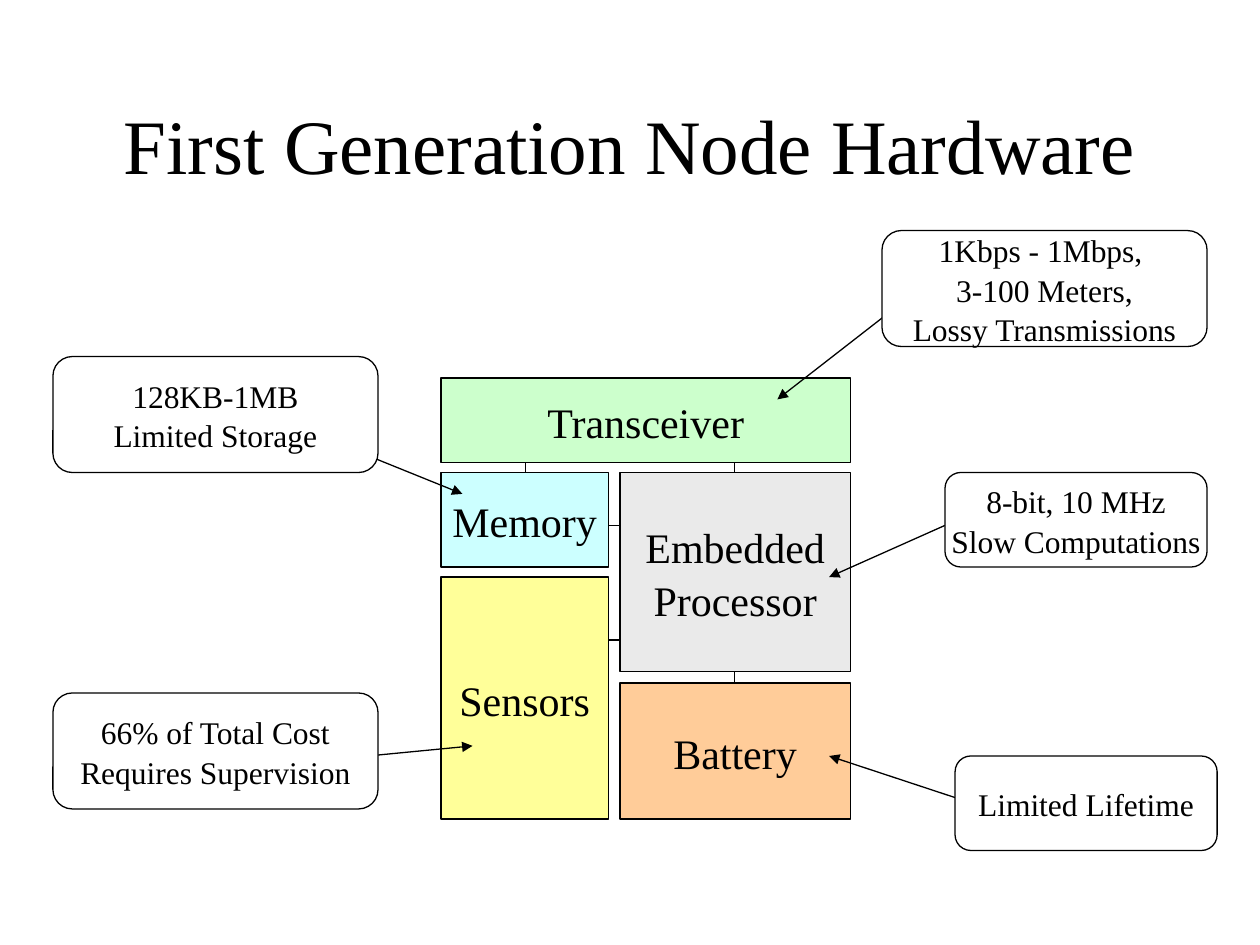
from pptx import Presentation
from pptx.dml.color import RGBColor
from pptx.enum.shapes import MSO_CONNECTOR, MSO_SHAPE
from pptx.enum.text import MSO_ANCHOR, MSO_AUTO_SIZE, PP_ALIGN
from pptx.oxml.ns import qn
from pptx.util import Inches, Pt
from lxml import etree

BLACK = RGBColor(0x00, 0x00, 0x00)
WHITE = RGBColor(0xFF, 0xFF, 0xFF)
GRAY = RGBColor(0xEA, 0xEA, 0xEA)
GREEN = RGBColor(0xCC, 0xFF, 0xCC)
CYAN = RGBColor(0xCC, 0xFF, 0xFF)
YELLOW = RGBColor(0xFF, 0xFF, 0x99)
ORANGE = RGBColor(0xFF, 0xCC, 0x99)
RECT, ROUNDED = MSO_SHAPE.RECTANGLE, MSO_SHAPE.ROUNDED_RECTANGLE
STRAIGHT = MSO_CONNECTOR.STRAIGHT
MIDDLE, CENTER, NO_FIT = MSO_ANCHOR.MIDDLE, PP_ALIGN.CENTER, MSO_AUTO_SIZE.NONE
FONT = "Times New Roman"
LINE_WIDTH = Pt(0.75)

prs = Presentation()
prs.slide_width, prs.slide_height = Inches(10), Inches(7.5)
slide = prs.slides.add_slide(prs.slide_layouts[5])
shapes = slide.shapes


def write_centered(shape, text, size, wrap):
    frame = shape.text_frame
    frame.text = text
    frame_format = {"word_wrap": wrap, "auto_size": NO_FIT, "vertical_anchor": MIDDLE}
    for attribute, value in frame_format.items():
        setattr(frame, attribute, value)
    for paragraph in frame.paragraphs:
        paragraph.alignment = CENTER
        paragraph.line_spacing = 1.05
        paragraph.font.color.rgb = BLACK
        for attribute, value in {"name": FONT, "size": Pt(size)}.items():
            setattr(paragraph.font, attribute, value)


def add_line(start, end, arrow):
    line = shapes.add_connector(STRAIGHT, *map(Inches, start + end))
    line.line.color.rgb = BLACK
    line.line.width = LINE_WIDTH
    if arrow:
        etree.SubElement(line.line._get_or_add_ln(), qn("a:tailEnd"), type="triangle")
    etree.SubElement(line._element.spPr, qn("a:effectLst"))


# Title
title = shapes.title
title.left, title.top, title.width, title.height = map(Inches, (0, 0.5, 10, 1.25))
write_centered(title, "First Generation Node Hardware", 44, True)

# Hardware blocks, then the callouts that describe them
blocks = [
    ("Embedded\nProcessor", (4.92, 3.75, 1.83, 1.58), GRAY),
    ("Transceiver", (3.5, 3, 3.25, 0.67), GREEN),
    ("Memory", (3.5, 3.75, 1.33, 0.75), CYAN),
    ("Sensors", (3.5, 4.58, 1.33, 1.92), YELLOW),
    ("Battery", (4.92, 5.42, 1.83, 1.08), ORANGE),
]
callouts = [
    ("Limited Lifetime", (7.58, 6, 2.08, 0.75), WHITE),
    ("8-bit, 10 MHz\nSlow Computations", (7.5, 3.75, 2.08, 0.75), WHITE),
    ("1Kbps - 1Mbps, \n3-100 Meters,\nLossy Transmissions", (7, 1.83, 2.58, 0.92), WHITE),
    ("128KB-1MB\nLimited Storage", (0.42, 2.83, 2.58, 0.92), WHITE),
    ("66% of Total Cost\nRequires Supervision", (0.42, 5.5, 2.58, 0.92), WHITE),
]

# Links between neighbouring blocks
links = [
    ((5.83, 5.42), (5.83, 5.33)),
    ((4.83, 5.08), (4.92, 5.08)),
    ((4.83, 4.17), (4.92, 4.17)),
    ((5.83, 3.75), (5.83, 3.67)),
    ((4.17, 3.75), (4.17, 3.67)),
]

# Arrows from callouts to blocks; their starts lie under the callouts
pointers = [
    ((7.25, 2.33), (6.17, 3.17)),
    ((7.5, 4.17), (6.58, 4.58)),
    ((7.58, 6.33), (6.58, 6)),
    ((2.83, 3.58), (3.67, 3.92)),
    ((2.92, 6), (3.75, 5.92)),
]

# Draw from back to front
for boxes, outline, size, lines_above in [
    (blocks, RECT, 24, [(links, False), (pointers, True)]),
    (callouts, ROUNDED, 18, []),
]:
    for text, place, color in boxes:
        box = shapes.add_shape(outline, *map(Inches, place))
        box.shadow.inherit = False
        box.fill.solid()
        box.fill.fore_color.rgb = color
        box.line.color.rgb = BLACK
        box.line.width = LINE_WIDTH
        write_centered(box, text, size, False)
    for lines, arrow in lines_above:
        for start, end in lines:
            add_line(start, end, arrow)

prs.save("out.pptx")
